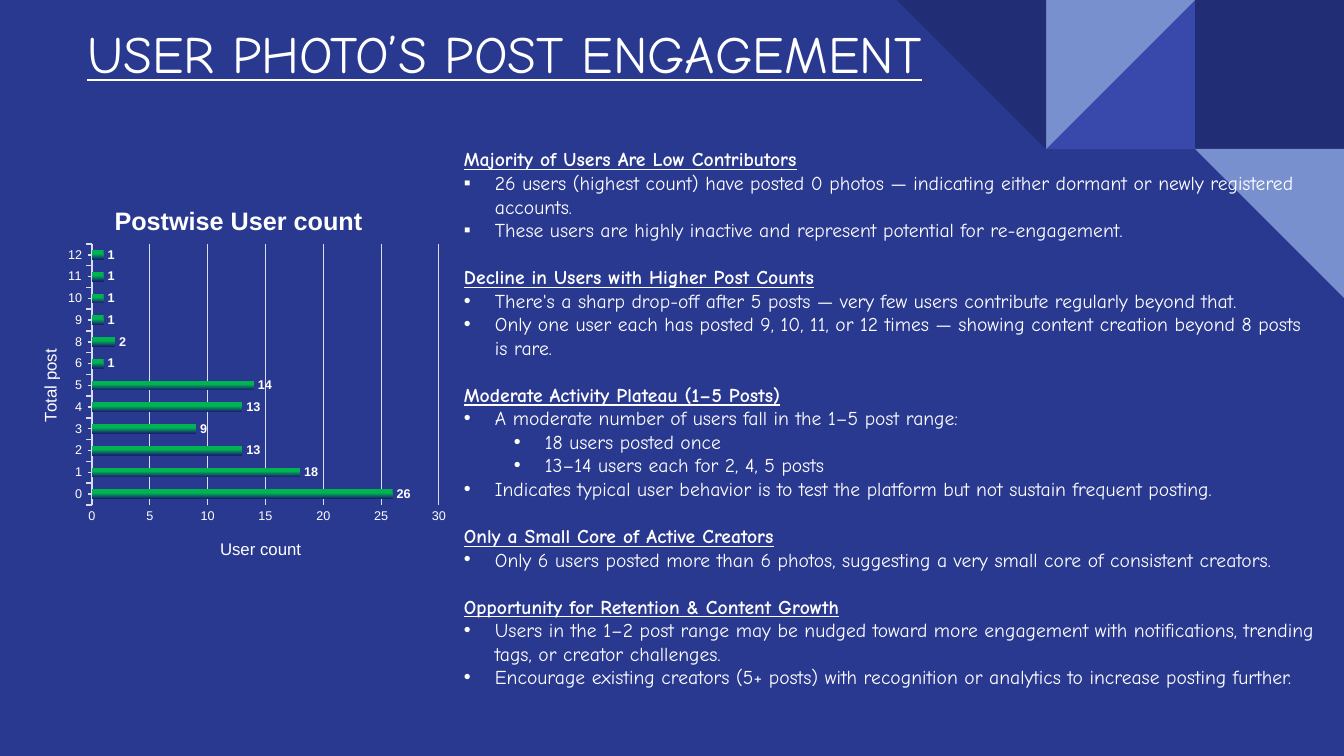
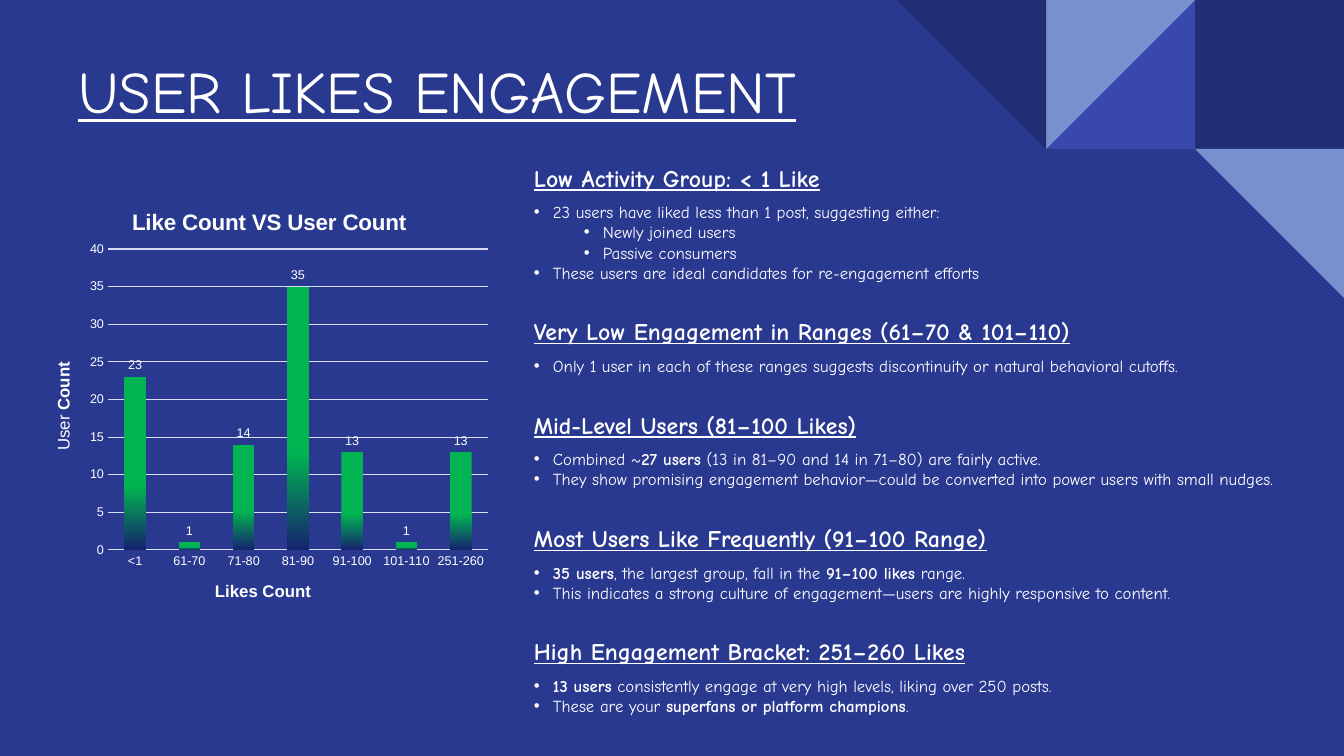
import lxml.etree
import pptx
import pptx.chart.data
import pptx.dml.color
import pptx.enum.chart
import pptx.enum.shapes
import pptx.enum.text
import pptx.oxml.ns
import pptx.util

RGB = pptx.dml.color.RGBColor
BACKGROUND = RGB(0x2A, 0x39, 0x90)
DARK_TILE = RGB(0x21, 0x2D, 0x74)
MID_TILE = RGB(0x39, 0x49, 0xAB)
LIGHT_TILE = RGB(0x78, 0x90, 0xCD)
WHITE = RGB(0xFF, 0xFF, 0xFF)
GRID = RGB(0xD9, 0xDD, 0xF4)
BAR_GREEN = RGB(0x00, 0xB4, 0x51)
BAR_NAVY = RGB(0x16, 0x23, 0x6E)
TEXT_FONT = "Comic Neue"
CHART_FONT = "Arial"
TILE = 149
SUBLEVEL = 50
SLIDE_WIDTH, SLIDE_HEIGHT = 1344, 756
SCALE = 12192000 / SLIDE_WIDTH
TICK = pptx.enum.chart.XL_TICK_MARK
CHART_TYPE = pptx.enum.chart.XL_CHART_TYPE

POST_SECTIONS = [
    ("Majority of Users Are Low Contributors", "▪", [
        (0, "26 users (highest count) have posted 0 photos — indicating either dormant or newly registered accounts."),
        (0, "These users are highly inactive and represent potential for re-engagement."),
    ]),
    ("Decline in Users with Higher Post Counts", "•", [
        (0, "There's a sharp drop-off after 5 posts — very few users contribute regularly beyond that."),
        (0, "Only one user each has posted 9, 10, 11, or 12 times — showing content creation beyond 8 posts is rare."),
    ]),
    ("Moderate Activity Plateau (1–5 Posts)", "•", [
        (0, "A moderate number of users fall in the 1–5 post range:"),
        (1, "18 users posted once"),
        (1, "13–14 users each for 2, 4, 5 posts"),
        (0, "Indicates typical user behavior is to test the platform but not sustain frequent posting."),
    ]),
    ("Only a Small Core of Active Creators", "•", [
        (0, "Only 6 users posted more than 6 photos, suggesting a very small core of consistent creators."),
    ]),
    ("Opportunity for Retention & Content Growth", "•", [
        (0, "Users in the 1–2 post range may be nudged toward more engagement with notifications, trending tags, "
            "or creator challenges."),
        (0, "Encourage existing creators (5+ posts) with recognition or analytics to increase posting further."),
    ]),
]
LIKE_SECTIONS = [
    ("Low Activity Group: < 1 Like", "•", [
        (0, "23 users have liked less than 1 post, suggesting either:"),
        (1, "Newly joined users"),
        (1, "Passive consumers"),
        (0, "These users are ideal candidates for re-engagement efforts"),
    ]),
    ("Very Low Engagement in Ranges (61–70 & 101–110)", "•", [
        (0, "Only 1 user in each of these ranges suggests discontinuity or natural behavioral cutoffs."),
    ]),
    ("Mid-Level Users (81–100 Likes)", "•", [
        (0, "Combined ~**27 users** (13 in 81–90 and 14 in 71–80) are fairly active."),
        (0, "They show promising engagement behavior—could be converted into power users with small nudges."),
    ]),
    ("Most Users Like Frequently (91–100 Range)", "•", [
        (0, "**35 users**, the largest group, fall in the **91–100 likes** range."),
        (0, "This indicates a strong culture of engagement—users are highly responsive to content."),
    ]),
    ("High Engagement Bracket: 251–260 Likes", "•", [
        (0, "**13 users** consistently engage at very high levels, liking over 250 posts."),
        (0, "These are your **superfans or platform champions**."),
    ]),
]


def px(length):
    """Turn px into EMU."""
    return pptx.util.Emu(round(length * SCALE))


def write(paragraph, text, size, font=TEXT_FONT, color=WHITE, bold=False, underline=False, spacing=None, before=0):
    """Write text into a paragraph; ** switches bold on and off."""
    if spacing:
        paragraph.line_spacing = spacing
    if before:
        paragraph.space_before = pptx.util.Pt(before)
    for index, part in enumerate(text.split("**")):
        if part:
            run = paragraph.add_run()
            run.text = part
            run.font.name = font
            run.font.size = pptx.util.Pt(size)
            run.font.color.rgb = color
            run.font.bold = bold != (index % 2 == 1)
            run.font.underline = underline


def add_bullet(paragraph, symbol, indent, level):
    """Give a paragraph a hanging white bullet."""
    paragraph.level = level
    properties = paragraph._p.get_or_add_pPr()
    properties.set("marL", str(px(indent + level * SUBLEVEL)))
    properties.set("indent", str(px(-indent)))
    qn = pptx.oxml.ns.qn
    color = lxml.etree.SubElement(properties, qn("a:buClr"))
    lxml.etree.SubElement(color, qn("a:srgbClr"), val=str(WHITE))
    lxml.etree.SubElement(properties, qn("a:buFont"), typeface=CHART_FONT)
    lxml.etree.SubElement(properties, qn("a:buChar"), char=symbol)


def decorate_layout(layout, slide):
    """Put the background and the corner tiles on the layout."""
    layout.background.fill.solid()
    layout.background.fill.fore_color.rgb = BACKGROUND
    preset = pptx.enum.shapes.MSO_SHAPE
    triangle = preset.RIGHT_TRIANGLE
    tiles = [
        (2, 0, preset.RECTANGLE, DARK_TILE, 0, False),
        (1, 0, triangle, MID_TILE, 0, True),
        (1, 0, triangle, LIGHT_TILE, 180, True),
        (0, 0, triangle, DARK_TILE, 180, False),
        (2, 1, triangle, LIGHT_TILE, 180, False),
    ]
    left = SLIDE_WIDTH - 3 * TILE
    for position, (column, row, kind, color, rotation, flipped) in enumerate(tiles):
        tile = slide.shapes.add_shape(kind, px(left + column * TILE), px(row * TILE), px(TILE), px(TILE))
        tile.shadow.inherit = False
        tile.fill.solid()
        tile.fill.fore_color.rgb = color
        tile.line.fill.background()
        tile.rotation = rotation
        if flipped:
            tile.element.spPr.xfrm.set("flipH", "1")
        layout.shapes.element.insert(2 + position, tile.element)


def place_title(slide, box, text, size):
    """Move and format the title placeholder."""
    title = slide.shapes.title
    title.left, title.top, title.width, title.height = map(px, box)
    frame = title.text_frame
    frame.auto_size = pptx.enum.text.MSO_AUTO_SIZE.NONE
    frame.vertical_anchor = pptx.enum.text.MSO_ANCHOR.MIDDLE
    frame.paragraphs[0].alignment = pptx.enum.text.PP_ALIGN.LEFT
    write(frame.paragraphs[0], text, size, underline=True, spacing=0.9)


def place_findings(slide, box, sections, heading_size, size, indent, gap, anchor, lead_spacing=None):
    """Write headed bullet sections into a box."""
    frame = slide.shapes.add_textbox(*map(px, box)).text_frame
    frame.word_wrap = True
    frame.vertical_anchor = anchor
    for number, (heading, symbol, bullets) in enumerate(sections):
        paragraph = frame.add_paragraph() if number else frame.paragraphs[0]
        write(paragraph, heading, heading_size, bold=True, underline=True,
              spacing=lead_spacing, before=gap if number else 0)
        for order, (level, text) in enumerate(bullets):
            paragraph = frame.add_paragraph()
            write(paragraph, text, size, spacing=None if order else lead_spacing)
            add_bullet(paragraph, symbol, indent, level)


def pin(element, index, box, **fractions):
    """Fix the layout of a chart part at offsets from the chart box."""
    qn = pptx.oxml.ns.qn
    for old in element.findall(qn("c:layout")):
        element.remove(old)
    layout = lxml.etree.Element(qn("c:layout"))
    manual = lxml.etree.SubElement(layout, qn("c:manualLayout"))
    if "w" in fractions:
        lxml.etree.SubElement(manual, qn("c:layoutTarget"), val="inner")
    for side in ("x", "y"):
        lxml.etree.SubElement(manual, qn(f"c:{side}Mode"), val="edge")
    for side, length in fractions.items():
        whole = box[2] if side in "xw" else box[3]
        lxml.etree.SubElement(manual, qn(f"c:{side}"), val=f"{length / whole:.4f}")
    element.insert(index, layout)


def label_chart(title, box, place, text, size, bold=False, upright=False):
    """Write a chart or axis title at its place in the chart box."""
    frame = title.text_frame
    write(frame.paragraphs[0], text, size, font=CHART_FONT, bold=bold)
    if upright:
        frame._txBody.bodyPr.set("rot", "-5400000")
        frame._txBody.bodyPr.set("vert", "horz")
    pin(title.element, 1, box, x=place[0], y=place[1])


def format_font(font, size, bold=False):
    """Set the white chart font."""
    font.name = CHART_FONT
    font.size = pptx.util.Pt(size)
    font.color.rgb = WHITE
    font.bold = bold


def place_chart(slide, box, kind, counts, plot_box, title, category_title, value_title, maximum,
                gap, green_until, bold_labels=False, ticks=False):
    """Draw a bar or column chart with its titles in a box."""
    data = pptx.chart.data.CategoryChartData()
    data.categories = list(counts)
    data.add_series("Series 1", list(counts.values()))
    chart = slide.shapes.add_chart(kind, *map(px, box), data).chart
    chart.has_legend = False
    format_font(chart.font, 10)
    chart.has_title = True
    label_chart(chart.chart_title, box, **title, bold=True)
    horizontal = kind == CHART_TYPE.BAR_CLUSTERED
    axes = (chart.category_axis, category_title, horizontal), (chart.value_axis, value_title, not horizontal)
    for axis, axis_title, upright in axes:
        label_chart(axis.axis_title, box, **axis_title, size=12, upright=upright)
        format_font(axis.tick_labels.font, 9)
        axis.major_tick_mark = axis.minor_tick_mark = TICK.NONE
        axis.format.line.fill.background()
        axis.has_major_gridlines = False
    if ticks:
        axis = chart.category_axis
        axis.major_tick_mark = axis.minor_tick_mark = TICK.OUTSIDE
        axis.format.line.color.rgb = GRID
        axis.format.line.width = pptx.util.Pt(1)
    values = chart.value_axis
    values.minimum_scale, values.maximum_scale, values.major_unit = 0, maximum, 5
    values.has_major_gridlines = True
    values.major_gridlines.format.line.color.rgb = GRID
    values.major_gridlines.format.line.width = pptx.util.Pt(0.75)

    plot = chart.plots[0]
    plot.gap_width = gap
    plot.vary_by_categories = False
    plot.has_data_labels = True
    labels = plot.data_labels
    labels.show_value = True
    labels.position = pptx.enum.chart.XL_LABEL_POSITION.OUTSIDE_END
    format_font(labels.font, 9, bold_labels)
    fill = plot.series[0].format.fill
    fill.gradient()
    fill.gradient_angle = 270
    for stop, color, position in zip(fill.gradient_stops, (BAR_GREEN, BAR_NAVY), (green_until, 1)):
        stop.color.rgb = color
        stop.position = position
    plot_area = chart.element.find(".//" + pptx.oxml.ns.qn("c:plotArea"))
    pin(plot_area, 0, box, **dict(zip("xywh", plot_box)))


def build_posts(slide):
    """Fill the slide on posts."""
    place_title(slide, (77, 11, 1108, 91), "USER PHOTO’S POST ENGAGEMENT", 37.4)
    place_findings(slide, (454, 132, 877, 572), POST_SECTIONS, heading_size=14, size=14, indent=31, gap=16.8,
                   anchor=pptx.enum.text.MSO_ANCHOR.MIDDLE)
    counts = {"0": 26, "1": 18, "2": 13, "3": 9, "4": 13, "5": 14,
              "6": 1, "8": 2, "9": 1, "10": 1, "11": 1, "12": 1}
    place_chart(slide, (14, 179, 441, 397), CHART_TYPE.BAR_CLUSTERED, counts, (78, 65, 347, 261),
                title=dict(text="Postwise User count", place=(96, 21), size=18),
                category_title=dict(text="Total post", place=(23, 167)),
                value_title=dict(text="User count", place=(203, 357)),
                maximum=30, gap=135, green_until=0.4, bold_labels=True, ticks=True)


def build_likes(slide):
    """Fill the slide on likes."""
    place_title(slide, (68, 33, 1209, 123), "USER LIKES ENGAGEMENT", 42)
    place_findings(slide, (524, 144, 820, 598), LIKE_SECTIONS, heading_size=17, size=12, indent=19, gap=14.4,
                   anchor=pptx.enum.text.MSO_ANCHOR.TOP, lead_spacing=1.5)
    counts = {"<1": 23, "61-70": 1, "71-80": 14, "81-90": 35, "91-100": 13, "101-110": 1, "251-260": 13}
    place_chart(slide, (34, 185, 463, 437), CHART_TYPE.COLUMN_CLUSTERED, counts, (74, 64, 380, 301),
                title=dict(text="Like Count VS User Count", place=(94, 19), size=16),
                category_title=dict(text="Likes Count", place=(178, 393), bold=True),
                value_title=dict(text="User **Count**", place=(16, 174)),
                maximum=40, gap=150, green_until=0.63)


def main():
    """Build and save the deck."""
    deck = pptx.Presentation()
    deck.slide_width, deck.slide_height = px(SLIDE_WIDTH), px(SLIDE_HEIGHT)
    layout = deck.slide_layouts[5]
    posts, likes = (deck.slides.add_slide(layout) for _ in range(2))
    decorate_layout(layout, posts)
    build_posts(posts)
    build_likes(likes)
    deck.save("out.pptx")


if __name__ == "__main__":
    main()
